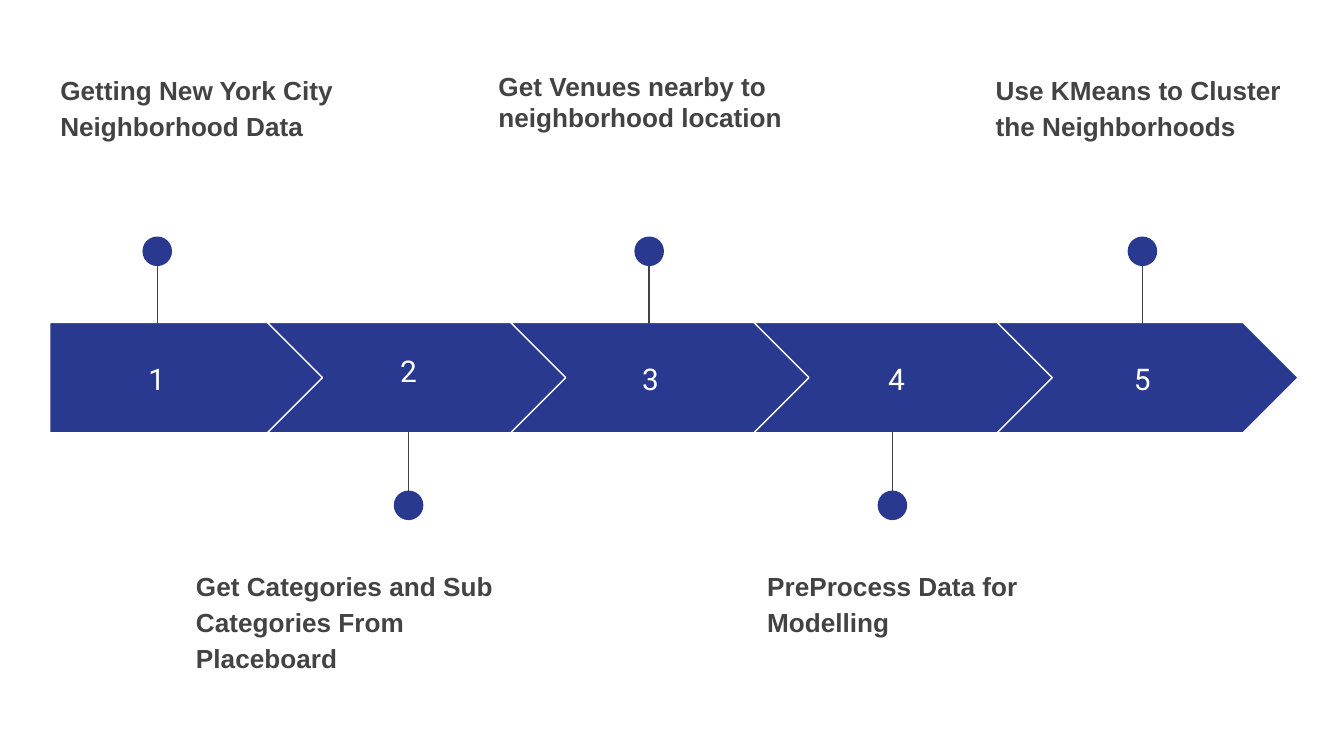
from lxml import etree
from pptx import Presentation
from pptx.dml.color import RGBColor
from pptx.enum.shapes import MSO_CONNECTOR, MSO_SHAPE
from pptx.enum.text import MSO_ANCHOR, PP_ALIGN
from pptx.oxml.ns import qn
from pptx.util import Inches, Pt

PENTAGON, CHEVRON, OVAL = MSO_SHAPE.PENTAGON, MSO_SHAPE.CHEVRON, MSO_SHAPE.OVAL
STRAIGHT = MSO_CONNECTOR.STRAIGHT
TOP, MIDDLE = MSO_ANCHOR.TOP, MSO_ANCHOR.MIDDLE
LEFT, CENTER = PP_ALIGN.LEFT, PP_ALIGN.CENTER

BLUE, WHITE, GRAY = "2A3990", "FFFFFF", "434343"
OPEN = {"line_spacing": 1.15, "space_before": Pt(16)}
LOOSE = {**OPEN, "space_after": Pt(4)}
TIGHT = {"space_before": Pt(11)}

STEPS = [
    {"label": "Getting New York City Neighborhood Data", "label_left": 0.35,
     "pin": 1.17, "number_box": (0.37, 2.56, 1.59), "spacing": LOOSE},
    {"label": "Get Categories and Sub Categories From Placeboard", "label_left": 1.36,
     "pin": 3.04, "number_box": (2.32, 2.5, 1.44), "spacing": LOOSE},
    {"label": "Get Venues nearby to neighborhood location", "label_left": 3.61,
     "pin": 4.83, "number_box": (4.12, 2.56, 1.44), "spacing": TIGHT},
    {"label": "PreProcess Data for Modelling", "label_left": 5.61,
     "pin": 6.64, "number_box": (5.95, 2.56, 1.44), "spacing": OPEN},
    {"label": "Use KMeans to Cluster the Neighborhoods", "label_left": 7.31,
     "pin": 8.5, "number_box": (7.78, 2.56, 1.44), "spacing": LOOSE},
]

BAND_TOP, BAND_HEIGHT = 2.4, 0.82
START_LEFT, START_WIDTH = 0.37, 2.05
CHEVRON_LEFT, CHEVRON_WIDTH, CHEVRON_STEP = 1.99, 2.24, 1.81
DOT = 0.22
ABOVE = {"line": (1.8, 2.41), "dot": 1.76, "label": 0.42}
BELOW = {"line": (3.82, 3.21), "dot": 3.65, "label": 4.11}


def color(value):
    return RGBColor.from_string(value)


def add_filled(page, kind, left, top, width, height, outline=None):
    shape = page.shapes.add_shape(kind, *map(Inches, (left, top, width, height)))
    shape.shadow.inherit = False
    shape.fill.solid()
    shape.fill.fore_color.rgb = color(BLUE)
    if outline:
        shape.line.color.rgb = color(outline)
        shape.line.width = Pt(0.75)
    else:
        shape.line.fill.background()
    return shape


def add_text(page, text, at, font, hue, anchor, formats):
    box = page.shapes.add_textbox(*map(Inches, at))
    frame = box.text_frame
    frame.word_wrap = True
    frame.vertical_anchor = anchor
    for side in ("left", "top", "right", "bottom"):
        setattr(frame, f"margin_{side}", Inches(0.1))
    para = frame.paragraphs[0]
    for name, value in formats.items():
        setattr(para, name, value)
    span = para.add_run()
    span.text = text
    for name, value in font.items():
        setattr(span.font, name, value)
    span.font.color.rgb = color(hue)


def add_pin(page, center, side):
    start, end = side["line"]
    stem = page.shapes.add_connector(
        STRAIGHT, *map(Inches, (center, start, center, end)))
    stem.line.color.rgb = color(GRAY)
    stem.line.width = Pt(0.75)
    etree.SubElement(stem._element.spPr, qn("a:effectLst"))
    add_filled(page, OVAL, center - DOT / 2, side["dot"], DOT, DOT)


deck = Presentation()
deck.slide_width = Inches(10)
deck.slide_height = deck.slide_width * 9 // 16
page = deck.slides.add_slide(deck.slide_layouts[6])

for index, step in enumerate(STEPS):
    side = BELOW if index % 2 else ABOVE
    if index == 0:
        kind, left, width = PENTAGON, START_LEFT, START_WIDTH
    else:
        kind, width = CHEVRON, CHEVRON_WIDTH
        left = CHEVRON_LEFT + (index - 1) * CHEVRON_STEP
    arrow = add_filled(page, kind, left, BAND_TOP, width, BAND_HEIGHT, WHITE)
    arrow.adjustments[0] = 0.5
    add_text(page, str(index + 1), (*step["number_box"], 0.51),
             {"name": "Roboto", "size": Pt(16)}, WHITE, MIDDLE, {"alignment": CENTER})
    add_pin(page, step["pin"], side)
    add_text(page, step["label"], (step["label_left"], side["label"], 2.45, 0.99),
             {"name": "Arial", "size": Pt(14), "bold": True}, GRAY, TOP,
             {"alignment": LEFT, **step["spacing"]})

deck.save("out.pptx")
